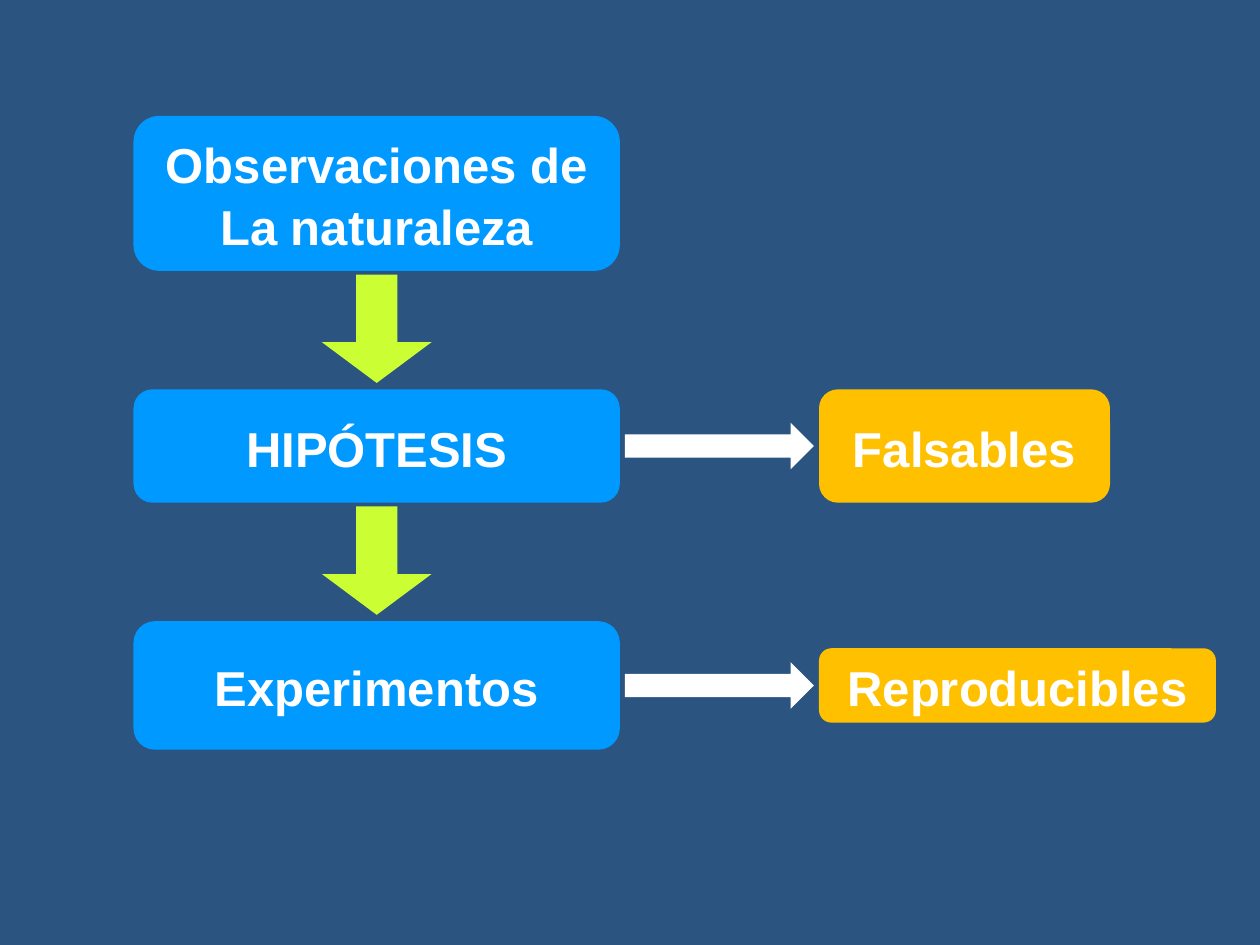
from dataclasses import dataclass

from pptx import Presentation
from pptx.dml.color import RGBColor
from pptx.enum.shapes import MSO_SHAPE
from pptx.enum.text import MSO_ANCHOR, PP_ALIGN
from pptx.util import Inches, Pt


@dataclass(frozen=True)
class Theme:
    """Colours and type of the diagram."""
    background: str = "2B5481"
    stage: str = "0099FF"
    quality: str = "FFC000"
    flow: str = "CCFF33"
    link: str = "FFFFFF"
    text: str = "FFFFFF"
    font: str = "Arial"
    size: int = 28
    leading: float = 1.05


class Diagram:
    """Draws boxes and block arrows on one slide in one theme."""

    def __init__(self, slide, theme):
        self.slide = slide
        self.theme = theme
        fill = slide.background.fill
        fill.solid()
        fill.fore_color.rgb = RGBColor.from_string(theme.background)

    def block(self, preset, bounds, color):
        """Add a flat preset shape."""
        block = self.slide.shapes.add_shape(preset, *map(Inches, bounds))
        block.shadow.inherit = False
        block.fill.solid()
        block.fill.fore_color.rgb = RGBColor.from_string(color)
        block.line.fill.background()
        return block

    def box(self, bounds, lines, color):
        """Add a rounded box with one centred paragraph per line."""
        frame = self.block(MSO_SHAPE.ROUNDED_RECTANGLE, bounds, color).text_frame
        frame.text = "\n".join(lines)
        frame.word_wrap = False
        frame.vertical_anchor = MSO_ANCHOR.MIDDLE
        font_format = {"name": self.theme.font, "size": Pt(self.theme.size), "bold": True}
        for paragraph in frame.paragraphs:
            paragraph.alignment = PP_ALIGN.CENTER
            paragraph.line_spacing = self.theme.leading
            for run in paragraph.runs:
                for attribute, value in font_format.items():
                    setattr(run.font, attribute, value)
                run.font.color.rgb = RGBColor.from_string(self.theme.text)

    def arrow(self, center, size, color, adjustments=(0.5, 0.5), rotation=0):
        """Add a down arrow around its centre, turned if asked."""
        bounds = [middle - extent / 2 for middle, extent in zip(center, size)]
        arrow = self.block(MSO_SHAPE.DOWN_ARROW, (*bounds, *size), color)
        for index, value in enumerate(adjustments):
            arrow.adjustments[index] = value
        arrow.rotation = rotation


def main():
    """Build the slide and save it."""
    deck = Presentation()
    deck.slide_width, deck.slide_height = Inches(10), Inches(7.5)
    theme = Theme()
    diagram = Diagram(deck.slides.add_slide(deck.slide_layouts[6]), theme)

    stage_left, stage_width, quality_left = 1.06, 3.86, 6.5
    stages = [
        (0.92, 1.23, ["Observaciones de", "La naturaleza"]),
        (3.09, 0.9, ["HIPÓTESIS"]),
        (4.93, 1.02, ["Experimentos"]),
    ]
    qualities = [(2.31, 0.9, "Falsables"), (3.15, 0.59, "Reproducibles")]

    for top, height, lines in stages:
        diagram.box((stage_left, top, stage_width, height), lines, theme.stage)

    stage_center = stage_left + stage_width / 2
    link_center = (stage_left + stage_width + quality_left) / 2
    for above, below, quality in zip(stages, stages[1:], qualities):
        gap_middle = (above[0] + above[1] + below[0]) / 2 - 0.01
        diagram.arrow((stage_center, gap_middle), (0.87, 0.86), theme.flow, (0.376, 0.376))

        row_middle = below[0] + below[1] / 2
        width, height, label = quality
        diagram.box((quality_left, row_middle - height / 2, width, height), [label], theme.quality)
        diagram.arrow((link_center, row_middle), (0.37, 1.5), theme.link, rotation=270)

    deck.save("out.pptx")


if __name__ == "__main__":
    main()
